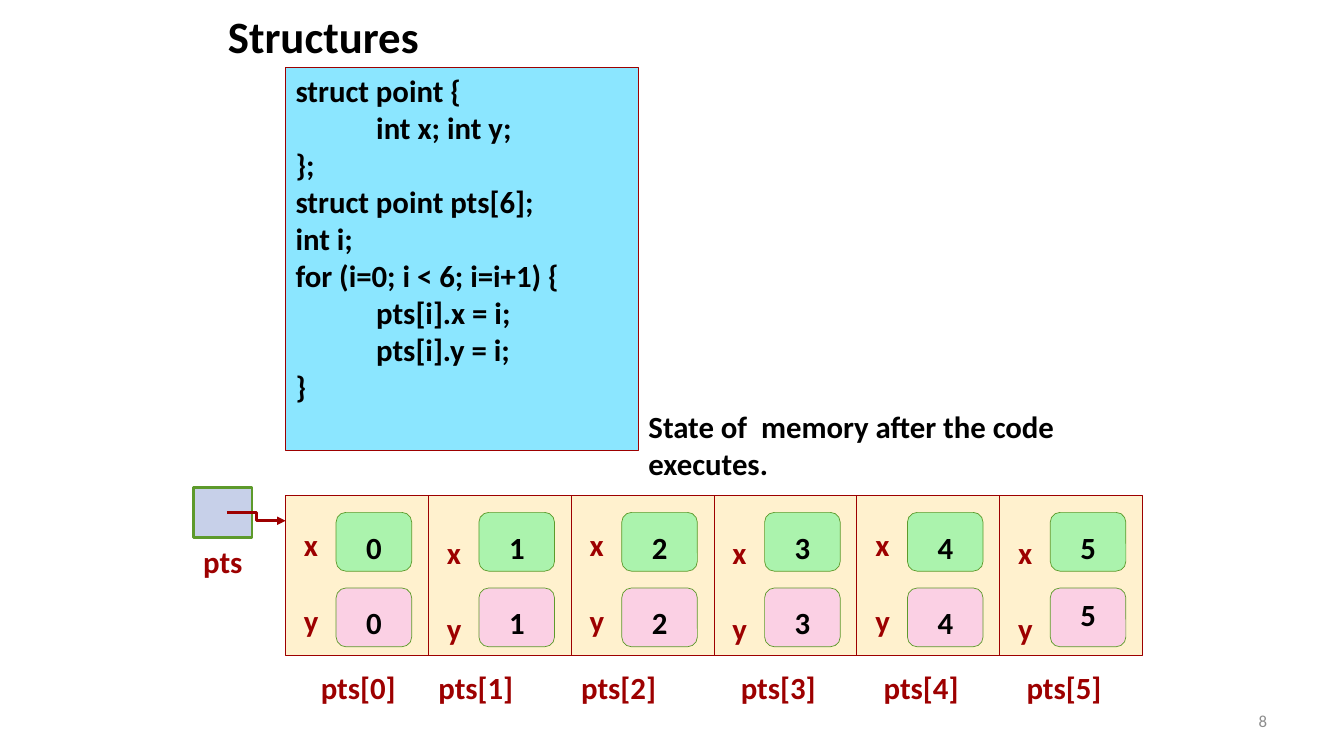
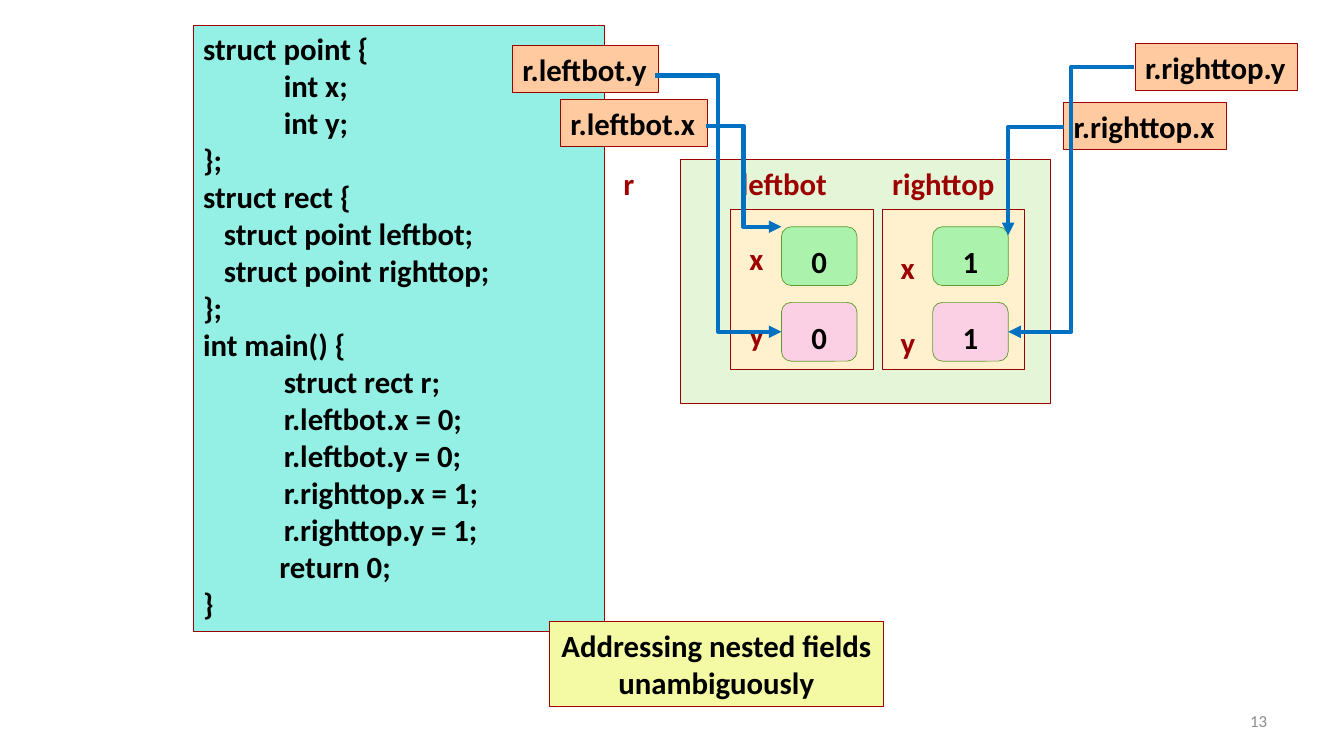
from dataclasses import dataclass

from lxml import etree
from pptx import Presentation
from pptx.dml.color import RGBColor
from pptx.enum.shapes import MSO_CONNECTOR, MSO_SHAPE
from pptx.enum.text import MSO_ANCHOR, PP_ALIGN
from pptx.oxml.ns import qn
from pptx.util import Inches, Pt

RECTANGLE, ROUNDED = MSO_SHAPE.RECTANGLE, MSO_SHAPE.ROUNDED_RECTANGLE
ELBOW = MSO_CONNECTOR.ELBOW
TOP, MIDDLE = MSO_ANCHOR.TOP, MSO_ANCHOR.MIDDLE
LEFT, CENTER, RIGHT = PP_ALIGN.LEFT, PP_ALIGN.CENTER, PP_ALIGN.RIGHT


@dataclass(frozen=True)
class Theme:
    font: str = "Calibri"
    title_size: float = 32
    body_size: float = 22
    number_size: float = 12
    ink: str = "000000"
    accent: str = "9D0000"
    muted: str = "8C8C8C"
    green_line: str = "5D9A2B"
    blue_line: str = "0070C0"
    array_code: str = "8BE6FF"
    nested_code: str = "94F0E4"
    struct: str = "FFF1CE"
    outer_struct: str = "E5F6D8"
    x_field: str = "ABF3AD"
    y_field: str = "FBD0E4"
    pointer: str = "C7D0E9"
    callout: str = "FFCA9F"
    note: str = "F4FAA4"


THEME = Theme()
UNITS_PER_INCH = 12
TAB_STOP = Inches(0.8)
STRUCT_SIZE = (17, 19)
FIELD_SIZE = (9, 7)
FIELD_LEFT, FIELD_TOP, FIELD_STEP = 6, 2, 9
LABEL_HEIGHT = 5.6

ARRAY_CODE = [
    "struct point {",
    "\tint x; int y;",
    "};",
    "struct point pts[6];",
    "int i;",
    "for (i=0; i < 6; i=i+1) {",
    "\tpts[i].x = i;",
    "\tpts[i].y = i;",
    "}",
]
ARRAY_LEFT, ARRAY_TOP = 34, 59
INDEX_OFFSETS = [3, 0, 0, 2, 2, 2]

NESTED_CODE = [
    "struct point {",
    "\tint x;",
    "\tint y;",
    "};",
    "struct rect {",
    "   struct point leftbot;",
    "   struct point righttop;",
    "};",
    "int main() {",
    "\tstruct rect r;",
    "\tr.leftbot.x = 0;",
    "   \tr.leftbot.y = 0;",
    "   \tr.righttop.x = 1;",
    "   \tr.righttop.y = 1;",
    "           return 0;",
    "}",
]
MEMBERS = ["leftbot", "righttop"]
MEMBER_LEFT, MEMBER_TOP, MEMBER_STEP = 87, 25, 18
CALLOUTS = [
    ("r.leftbot.y", 61, 5.4, 17.4),
    ("r.leftbot.x", 66.7, 11.9, 17.5),
    ("r.righttop.y", 135.1, 5.2, 19.3),
    ("r.righttop.x", 126.6, 12.2, 19.4),
]
ARROWS = [
    ((78, 9), (93, 39.5), "bentConnector3"),
    ((84, 15), (93, 27), "bentConnector3"),
    ((126.6, 15.1), (120, 28), "bentConnector2"),
    ((135, 8), (120, 39.5), "bentConnector3"),
]


def grid(*units):
    return [Inches(unit / UNITS_PER_INCH) for unit in units]


def color(value):
    return RGBColor.from_string(value)


def write(shape, lines, ink=THEME.ink, size=THEME.body_size, bold=True,
          align=LEFT, anchor=TOP, wrap=True, left=0.1, top=0.05):
    frame = shape.text_frame
    frame.word_wrap = wrap
    frame.vertical_anchor = anchor
    frame.margin_left, frame.margin_top = Inches(left), Inches(top)
    frame.margin_right, frame.margin_bottom = Inches(0.1), Inches(0.05)
    frame.text = "\n".join(lines)
    for paragraph in frame.paragraphs:
        paragraph.alignment = align
        if "\t" in paragraph.text:
            tabs = etree.SubElement(paragraph._p.get_or_add_pPr(), qn("a:tabLst"))
            etree.SubElement(tabs, qn("a:tab"), pos=str(TAB_STOP), algn="l")
        font = paragraph.font
        font.name, font.size, font.bold = THEME.font, Pt(size), bold
        font.color.rgb = color(ink)


def add_label(slide, text, left, top, width=18, height=LABEL_HEIGHT, **style):
    write(slide.shapes.add_textbox(*grid(left, top, width, height)), [text], **style)


def add_box(slide, box, fill, line=THEME.accent, weight=0.75, kind=RECTANGLE):
    shape = slide.shapes.add_shape(kind, *grid(*box))
    shape.shadow.inherit = False
    shape.fill.solid()
    shape.fill.fore_color.rgb = color(fill)
    shape.line.color.rgb = color(line)
    shape.line.width = Pt(weight)
    return shape


def add_arrow(slide, start, end, line, weight, preset="bentConnector3"):
    connector = slide.shapes.add_connector(ELBOW, *grid(*start, *end))
    connector.line.color.rgb = color(line)
    connector.line.width = Pt(weight)
    properties = connector._element.spPr
    properties.find(qn("a:prstGeom")).set("prst", preset)
    etree.SubElement(properties.find(qn("a:ln")), qn("a:tailEnd"), type="triangle")
    etree.SubElement(properties, qn("a:effectLst"))


def add_point(slide, left, top, value, label_drop, y_value_top=0.13):
    add_box(slide, (left, top, *STRUCT_SIZE), THEME.struct)
    fields = [("x", THEME.x_field, 0.13), ("y", THEME.y_field, y_value_top)]
    for row, (name, fill, value_top) in enumerate(fields):
        row_top = top + row * FIELD_STEP
        field = add_box(slide, (left + FIELD_LEFT, row_top + FIELD_TOP, *FIELD_SIZE),
                        fill, THEME.green_line, 0.5, ROUNDED)
        write(field, [str(value)], left=0.27, top=value_top)
        add_label(slide, name, left + 1, row_top + label_drop, 4.1, ink=THEME.accent)


def add_page_number(slide, number):
    add_label(slide, str(number), 114.7, 83.4, 37.3, 4.8, ink=THEME.muted,
              size=THEME.number_size, bold=False, align=RIGHT, anchor=MIDDLE)


def build_array_slide(presentation):
    slide = presentation.slides.add_slide(presentation.slide_layouts[5])
    title = slide.shapes.title
    title.left, title.top, title.width, title.height = grid(21, 0.4, 35, 7.6)
    write(title, ["Structures"], size=THEME.title_size, align=CENTER)
    write(add_box(slide, (34, 8, 42, 45.6), THEME.array_code), ARRAY_CODE)

    last = len(INDEX_OFFSETS) - 1
    for index, offset in enumerate(INDEX_OFFSETS):
        left = ARRAY_LEFT + index * STRUCT_SIZE[0]
        add_point(slide, left, ARRAY_TOP, index, 3 + index % 2,
                  0.05 if index == last else 0.13)
        add_label(slide, f"pts[{index}]", left + offset, 79, ink=THEME.accent)

    add_box(slide, (23, 58, 7, 6), THEME.pointer, THEME.green_line, 2)
    add_arrow(slide, (27, 61), (34, 62), THEME.accent, 2)
    add_label(slide, "pts", 23, 64, 9, ink=THEME.accent)
    add_label(slide, "State of  memory after the code executes.", 76, 48, 61, 10.1)
    add_page_number(slide, 8)


def build_nested_slide(presentation):
    slide = presentation.slides.add_slide(presentation.slide_layouts[6])
    write(add_box(slide, (23, 3, 49, 72.2), THEME.nested_code), NESTED_CODE)
    add_box(slide, (81, 19, 44, 29), THEME.outer_struct)
    for index, member in enumerate(MEMBERS):
        left = MEMBER_LEFT + index * MEMBER_STEP
        add_point(slide, left, MEMBER_TOP, index, 3 + index)
        add_label(slide, member, left, 19, ink=THEME.accent)
    add_label(slide, "r", 73, 19, 4, ink=THEME.accent)

    for text, left, top, width in CALLOUTS:
        callout = add_box(slide, (left, top, width, LABEL_HEIGHT), THEME.callout)
        write(callout, [text], wrap=False)
    for start, end, preset in ARROWS:
        add_arrow(slide, start, end, THEME.blue_line, 3, preset)

    note = add_box(slide, (65.4, 74, 39.7, 10.1), THEME.note)
    write(note, ["Addressing nested fields", "unambiguously"], align=CENTER, wrap=False)
    add_page_number(slide, 13)


def main():
    presentation = Presentation()
    presentation.slide_width, presentation.slide_height = Inches(13.33), Inches(7.5)
    build_array_slide(presentation)
    build_nested_slide(presentation)
    presentation.save("out.pptx")


if __name__ == "__main__":
    main()
